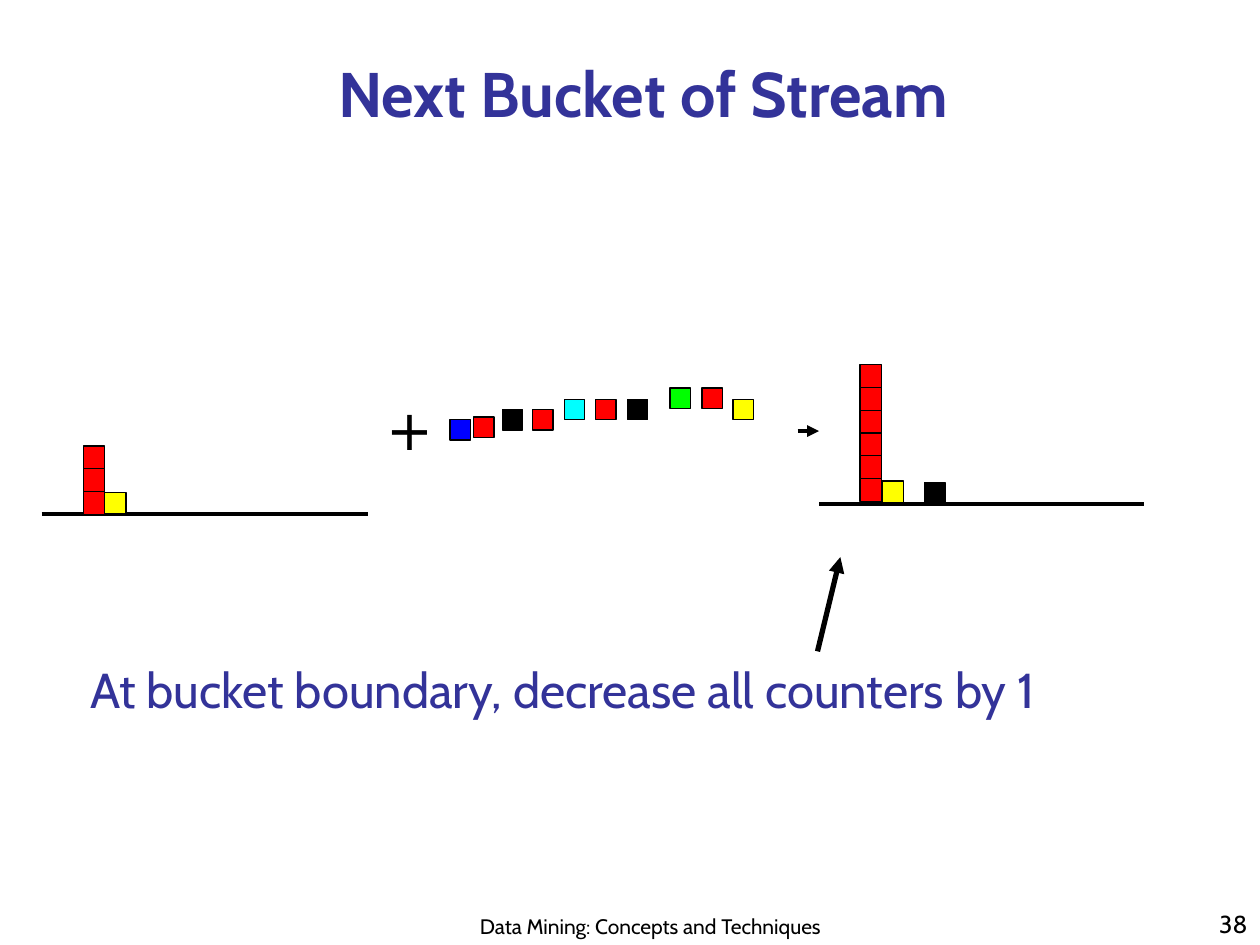
from pptx import Presentation
from pptx.dml.color import RGBColor
from pptx.enum.shapes import MSO_CONNECTOR, MSO_SHAPE
from pptx.enum.text import MSO_ANCHOR, PP_ALIGN
from pptx.oxml.ns import qn
from pptx.util import Cm, Pt
from lxml import etree

RECT = MSO_SHAPE.RECTANGLE
LINE = MSO_CONNECTOR.STRAIGHT
TOP, BOTTOM = MSO_ANCHOR.TOP, MSO_ANCHOR.BOTTOM
LEFT, MID, RIGHT = PP_ALIGN.LEFT, PP_ALIGN.CENTER, PP_ALIGN.RIGHT

BLACK, WHITE, NAVY = "000000", "FFFFFF", "333399"
RED, YELLOW, GREEN = "FF0000", "FFFF00", "00FF00"
BLUE, CYAN = "0000FF", "00FFFF"


def paint(code):
    return RGBColor.from_string(code)


class Deck:
    font = "Cabin"
    edge = 0.75
    step = 0.46

    def __init__(self, file):
        self.slide = file.slides.add_slide(file.slide_layouts[6])
        fill = self.slide.background.fill
        fill.solid()
        fill.fore_color.rgb = paint(WHITE)

    def text(self, words, x, y, w, h, size, ink=BLACK, align=LEFT,
             anchor=TOP, **style):
        frame = self.slide.shapes.add_textbox(
            Cm(x), Cm(y), Cm(w), Cm(h)).text_frame
        frame.word_wrap = True
        frame.vertical_anchor = anchor
        para = frame.paragraphs[0]
        para.alignment = align
        run = para.add_run()
        run.text = words
        run.font.color.rgb = paint(ink)
        for name, value in ({"name": self.font, "size": Pt(size)} | style).items():
            setattr(run.font, name, value)

    def block(self, x, y, ink, w=0.41, h=0.41):
        box = self.slide.shapes.add_shape(RECT, Cm(x), Cm(y), Cm(w), Cm(h))
        box.shadow.inherit = False
        box.fill.solid()
        box.fill.fore_color.rgb = paint(ink)
        box.line.color.rgb = paint(BLACK)
        box.line.width = Pt(self.edge)

    def stack(self, x, base, count):
        """Pile red blocks upward from the base."""
        for level in range(1, count + 1):
            self.block(x, base - level * self.step, RED, 0.43, self.step)

    def line(self, x1, y1, x2, y2, width=2.25, head=False):
        rule = self.slide.shapes.add_connector(
            LINE, Cm(x1), Cm(y1), Cm(x2), Cm(y2))
        rule.line.color.rgb = paint(BLACK)
        rule.line.width = Pt(width)
        if head:
            etree.SubElement(rule.line._get_or_add_ln(), qn("a:tailEnd"),
                             type="triangle")
        etree.SubElement(rule._element.spPr, qn("a:effectLst"))


def main():
    file = Presentation()
    file.slide_width, file.slide_height = Cm(25.4), Cm(19.05)
    deck = Deck(file)

    deck.text("Next Bucket of Stream", 2.24, 0.64, 21.44, 2.11, 36, NAVY,
              MID, BOTTOM, bold=True)

    # Counters before the bucket
    deck.line(0.84, 10.36, 7.42, 10.36)
    deck.stack(1.68, 10.37, 3)
    deck.block(2.11, 9.93, YELLOW, 0.43, 0.43)

    # Items arriving in the bucket
    deck.text("+", 7.54, 7.82, 1.14, 1.63, 32, name="DejaVu Sans")
    stream = [
        (9.07, 8.46, BLUE), (9.55, 8.41, RED), (10.13, 8.26, BLACK),
        (10.74, 8.26, RED), (11.38, 8.05, CYAN), (12.01, 8.05, RED),
        (12.65, 8.05, BLACK), (13.51, 7.82, GREEN), (14.15, 7.82, RED),
        (14.78, 8.05, YELLOW),
    ]
    for x, y, ink in stream:
        deck.block(x, y, ink)
    deck.line(16.08, 8.69, 16.51, 8.69, head=True)

    # Counters after the decrease
    deck.stack(17.34, 10.11, 6)
    deck.block(17.78, 9.7, YELLOW, 0.43, 0.43)
    deck.block(18.64, 9.73, BLACK)
    deck.line(16.51, 10.16, 23.06, 10.16)

    deck.text("At bucket boundary, decrease all counters by 1",
              1.57, 13.18, 22.17, 1.45, 28, NAVY)
    deck.line(16.48, 13.13, 16.94, 11.23, 3, head=True)

    deck.text("Data Mining: Concepts and Techniques",
              9.09, 17.98, 8.05, 1.07, 12, align=MID, anchor=BOTTOM)
    deck.text("38", 20.12, 17.78, 5.28, 1.27, 14, align=RIGHT, anchor=BOTTOM)

    file.save("out.pptx")


if __name__ == "__main__":
    main()
